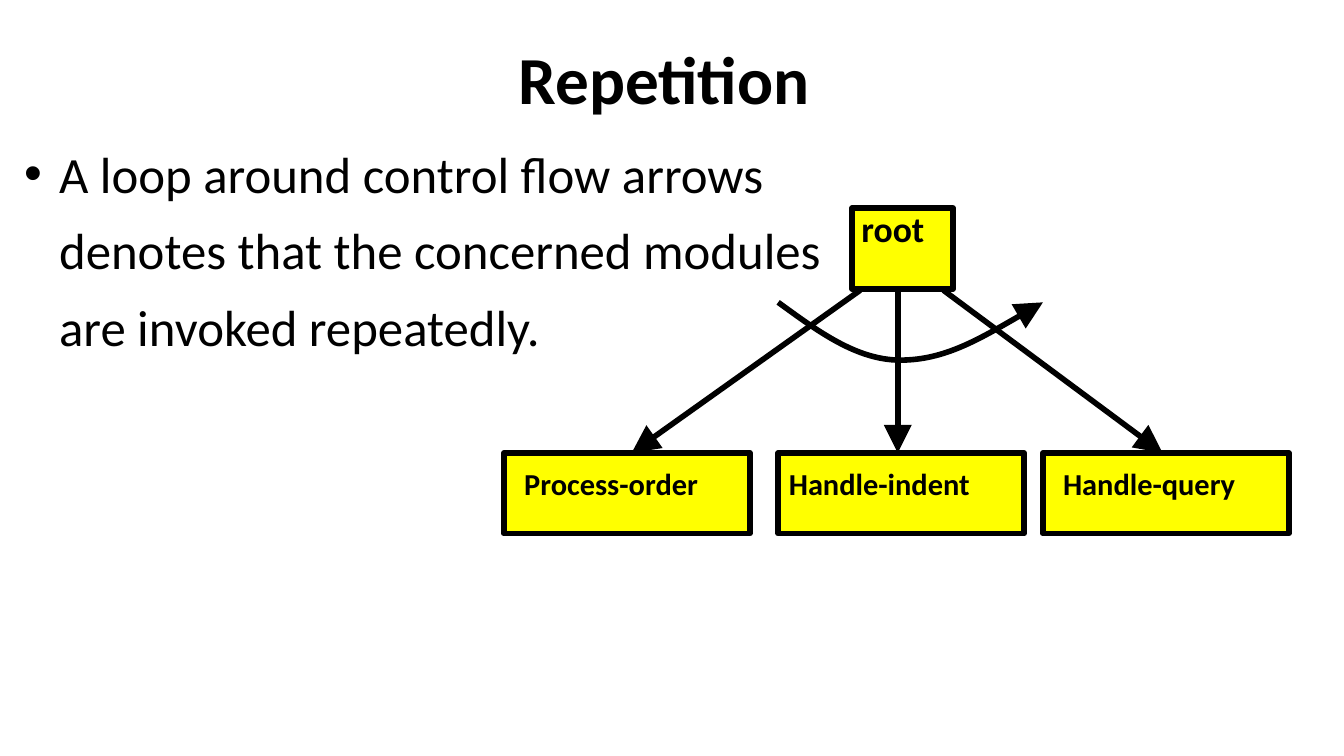
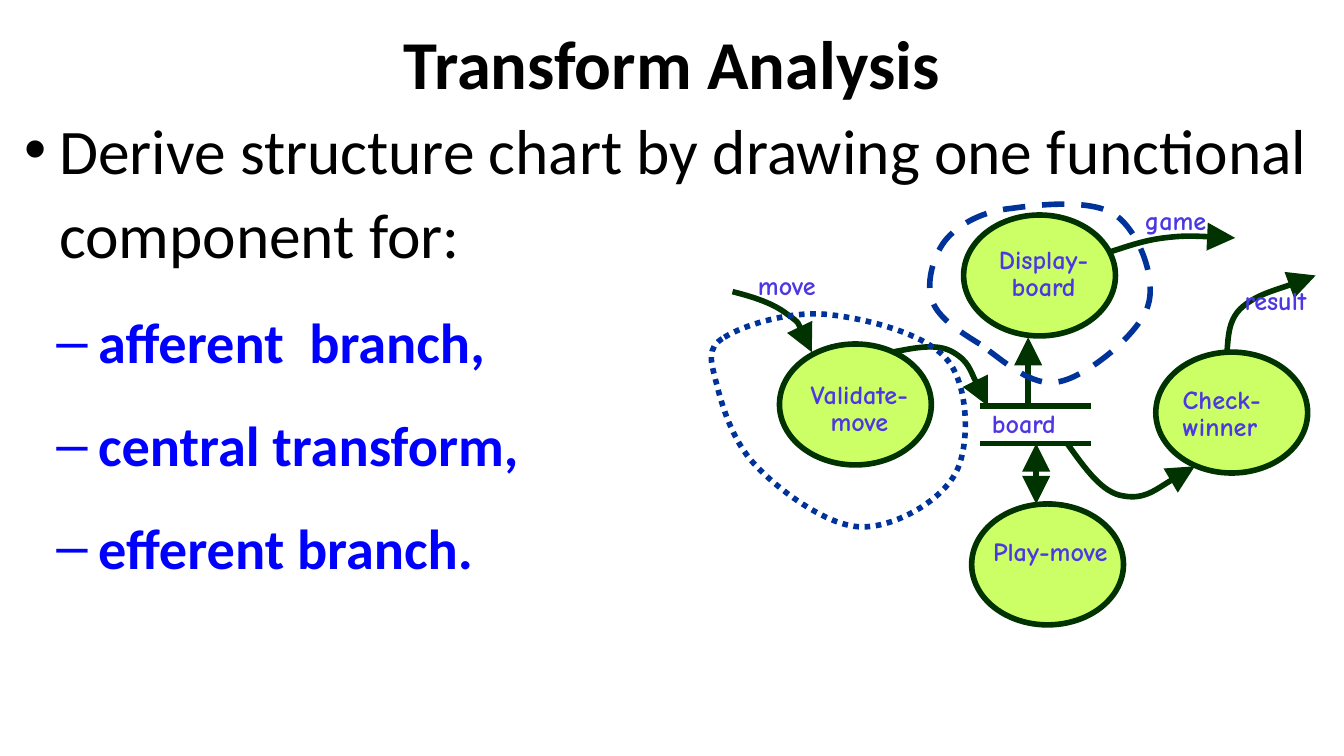
"""Build two slides on structure charts: repetition and transform analysis."""
from lxml import etree
from pptx import Presentation
from pptx.dml.color import RGBColor
from pptx.enum.dml import MSO_LINE
from pptx.enum.shapes import MSO_CONNECTOR, MSO_SHAPE
from pptx.enum.text import MSO_ANCHOR, PP_ALIGN
from pptx.oxml.ns import qn
from pptx.util import Inches, Pt

LEFT, CENTER = PP_ALIGN.LEFT, PP_ALIGN.CENTER
TOP, MIDDLE = MSO_ANCHOR.TOP, MSO_ANCHOR.MIDDLE
BOX, OVAL = MSO_SHAPE.ROUNDED_RECTANGLE, MSO_SHAPE.OVAL
STRAIGHT = MSO_CONNECTOR.STRAIGHT
DOTTED, DASHED = MSO_LINE.ROUND_DOT, MSO_LINE.DASH

COLORS = {"black": "000000", "yellow": "FFFF00", "blue": "0000FF", "lime": "CCFF66",
          "forest": "003300", "navy": "003399", "violet": "4C38E2"}
MAIN_FONT, LABEL_FONT = "Calibri", "Comic Neue"
LINE_WIDTH = 3
ARROWHEAD = {"type": "triangle", "w": "lg", "len": "lg"}
MODULE_TOP, MODULE_HEIGHT = 3.37, 0.6
BUBBLE_SIZE = (1.13, 0.9)

REPETITION = {
    "title": ("Repetition", 36, (1.74, 0.11)),
    "body_at": (0.17, 0.91, 6.42, 3.72),
    "body": [(0, "A loop around control flow arrows denotes that the concerned modules "
                 "are invoked repeatedly.")],
    "levels": [{"size": 27.2, "spacing": 1.25, "before": 4.3, "after": 6}],
}
TRANSFORM = {
    "title": ("Transform Analysis", 36.7, (1.8, 0)),
    "body_at": (0.17, 0.73, 9.67, 3.93),
    "body": [(0, "Derive structure chart by drawing one functional component for:"),
             (1, "afferent  branch,"), (1, "central transform,"), (1, "efferent branch.")],
    "levels": [{"size": 34, "spacing": 1.1, "before": 8.3, "after": 8.3},
               {"size": 30.2, "spacing": 1.1, "before": 7.6, "after": 7.6,
                "bold": True, "color": "blue"}],
}
BULLETS = [("•", 0.26, -0.26), ("–", 0.55, -0.31)]

ROOT = (6.34, 1.55, 0.75, MODULE_HEIGHT)
MODULES = [("Process-order", 3.75, 0.14), ("Handle-indent", 5.79, 0.07),
           ("Handle-query", 7.76, 0.14)]
CALLS = [(6.4, 4.7), (6.68, 6.68), (7.02, 8.65)]
LOOP = [(5.79, 2.25), (6.08, 2.46), (6.37, 2.68), (6.7, 2.68),
        (7.03, 2.68), (7.4, 2.46), (7.76, 2.25)]

BUBBLES = [(7.17, 1.6), (7.23, 3.75), (5.8, 2.56), (8.6, 2.62)]
LABELS = [
    ("Display-board", (7.29, 1.81, 0.95, 0.61), CENTER),
    ("Check-winner", (8.79, 2.85, 0.95, 0.61), LEFT),
    ("Validate-move", (5.86, 2.81, 1.07, 0.61), CENTER),
    ("Play-move", (7.34, 3.98, 0.95, 0.61), CENTER),
    ("board", (7.37, 3.03, 0.77, 0.34), LEFT),
    ("move", (5.63, 2, 0.83, 0.34), LEFT),
    ("result", (9.25, 2.11, 0.75, 0.34), LEFT),
    ("game", (8.51, 1.52, 1.07, 0.34), LEFT),
]
STORE_LINES = [
    ((7.29, 3.02), (8.12, 3.02), ()),
    ((7.29, 3.3), (8.12, 3.3), ()),
    ((7.65, 3.02), (7.65, 2.51), ("tailEnd",)),
    ((7.71, 3.3), (7.71, 3.75), ("headEnd", "tailEnd")),
]
FLOWS = [
    [(7.94, 3.3), (8.07, 3.48), (8.2, 3.67), (8.36, 3.69),
     (8.52, 3.72), (8.81, 3.51), (8.89, 3.47)],
    [(6.64, 2.62), (6.8, 2.59), (6.97, 2.55), (7.09, 2.62),
     (7.21, 2.69), (7.31, 2.95), (7.35, 3.02)],
    [(5.45, 2.17), (5.61, 2.21), (5.76, 2.26), (5.86, 2.34),
     (5.96, 2.41), (6, 2.52), (6.04, 2.62)],
    [(9.13, 2.62), (9.14, 2.5), (9.14, 2.37), (9.25, 2.28),
     (9.36, 2.19), (9.7, 2.09), (9.79, 2.05)],
    [(8.24, 1.88), (8.37, 1.84), (8.5, 1.79), (8.66, 1.77),
     (8.82, 1.75), (9, 1.76), (9.19, 1.77)],
]
BRANCH_OUTLINES = [
    (DOTTED, [(5.39, 2.51), (5.53, 2.42), (5.88, 2.31), (6.16, 2.34),
              (6.44, 2.37), (6.89, 2.48), (7.05, 2.68), (7.21, 2.87), (7.22, 3.32),
              (7.11, 3.52), (7, 3.73), (6.65, 3.93), (6.4, 3.92), (6.15, 3.91),
              (5.8, 3.65), (5.63, 3.47), (5.45, 3.29), (5.37, 3.01), (5.33, 2.85),
              (5.29, 2.69), (5.25, 2.59), (5.39, 2.51)]),
    (DASHED, [(7.29, 2.56), (7.13, 2.46), (6.97, 2.36), (6.93, 2.22),
              (6.89, 2.09), (6.95, 1.88), (7.05, 1.77), (7.15, 1.66), (7.32, 1.57),
              (7.53, 1.55), (7.74, 1.52), (8.13, 1.48), (8.3, 1.6), (8.47, 1.72),
              (8.61, 2.07), (8.54, 2.28), (8.47, 2.49), (8.09, 2.8), (7.88, 2.84),
              (7.68, 2.89), (7.45, 2.67), (7.29, 2.56)]),
]


def rgb(name):
    return RGBColor.from_string(COLORS[name])


def inches(values):
    return [Inches(v) for v in values]


def set_all(obj, values):
    for name, value in values.items():
        setattr(obj, name, value)


def add_frame(s, at, anchor=TOP):
    tf = s.shapes.add_textbox(*inches(at)).text_frame
    set_all(tf, {"word_wrap": True, "vertical_anchor": anchor,
                 "margin_left": Inches(0.01), "margin_right": Inches(0.01),
                 "margin_top": Inches(0.04), "margin_bottom": Inches(0.04)})
    return tf


def write(p, text, size, color="black", bold=False, font=MAIN_FONT):
    r = p.add_run()
    r.text = text
    set_all(r.font, {"size": Pt(size), "bold": bold, "name": font})
    r.font.color.rgb = rgb(color)


def add_label(s, text, at, size, align=LEFT, **style):
    p = add_frame(s, at).paragraphs[0]
    set_all(p, {"alignment": align, "line_spacing": 0.85})
    write(p, text, size, bold=True, **style)


def add_bullet(p, level):
    mark, margin, indent = BULLETS[level]
    pPr = p._p.get_or_add_pPr()
    pPr.set("marL", str(Inches(margin)))
    pPr.set("indent", str(Inches(indent)))
    etree.SubElement(pPr, qn("a:buFont")).set("typeface", "Arial")
    etree.SubElement(pPr, qn("a:buChar")).set("char", mark)


def add_text_slide(prs, content):
    s = prs.slides.add_slide(prs.slide_layouts[6])
    title, size, (x, y) = content["title"]
    p = add_frame(s, (x, y, 6.4, 0.93), MIDDLE).paragraphs[0]
    p.alignment = CENTER
    write(p, title, size, bold=True)
    tf = add_frame(s, content["body_at"])
    for i, (level, text) in enumerate(content["body"]):
        p = tf.add_paragraph() if i else tf.paragraphs[0]
        style = dict(content["levels"][level])
        before, after = style.pop("before"), style.pop("after")
        add_bullet(p, level)
        set_all(p, {"level": level, "line_spacing": style.pop("spacing"),
                    "space_after": Pt(after)})
        if i:
            p.space_before = Pt(before)
        write(p, text, **style)
    return s


def set_line(shape, color, ends=(), dash=None):
    shape.line.color.rgb = rgb(color)
    shape.line.width = Pt(LINE_WIDTH)
    if dash:
        shape.line.dash_style = dash
    ln = shape._element.xpath(".//a:ln")[0]
    for end in ends:
        etree.SubElement(ln, qn("a:" + end), ARROWHEAD)


def add_node(s, kind, at, fill, line):
    shape = s.shapes.add_shape(kind, *inches(at))
    shape.shadow.inherit = False
    shape.fill.solid()
    shape.fill.fore_color.rgb = rgb(fill)
    if kind == BOX:
        shape.adjustments[0] = 0
    set_line(shape, line)


def add_line(s, start, end, color, ends=()):
    shape = s.shapes.add_connector(STRAIGHT, *inches(start + end))
    set_line(shape, color, ends)
    etree.SubElement(shape._element.spPr, qn("a:effectLst"))


def add_curve(s, points, color, ends=(), dash=None):
    points = [inches(point) for point in points]
    knots = points[::3]
    builder = s.shapes.build_freeform(*knots[0])
    builder.add_line_segments(knots[1:], close=False)
    shape = builder.convert_to_shape()
    shape.shadow.inherit = False
    shape.fill.background()
    set_line(shape, color, ends, dash)
    for i, segment in enumerate(shape._element.xpath(".//a:lnTo")):
        cubic = etree.Element(qn("a:cubicBezTo"))
        for x, y in points[3 * i + 1:3 * i + 4]:
            pt = etree.SubElement(cubic, qn("a:pt"))
            pt.set("x", str(x - shape.left))
            pt.set("y", str(y - shape.top))
        segment.getparent().replace(segment, cubic)


def draw_repetition(s):
    add_node(s, BOX, ROOT, "yellow", "black")
    add_label(s, "root", (6.4, 1.55, 1.02, 0.52), 19.1)
    for name, x, inset in MODULES:
        add_node(s, BOX, (x, MODULE_TOP, 1.83, MODULE_HEIGHT), "yellow", "black")
        add_label(s, name, (x + inset, MODULE_TOP + 0.09, 1.7, 0.45), 16.3)
    for x1, x2 in CALLS:
        add_line(s, (x1, 2.16), (x2, MODULE_TOP), "black", ("tailEnd",))
    add_curve(s, LOOP, "black", ("tailEnd",))


def draw_transform(s):
    for at in BUBBLES:
        add_node(s, OVAL, at + BUBBLE_SIZE, "lime", "forest")
    for start, end, ends in STORE_LINES:
        add_line(s, start, end, "forest", ends)
    for points in FLOWS:
        add_curve(s, points, "forest", ("tailEnd",))
    for text, at, align in LABELS:
        add_label(s, text, at, 14, align, color="violet", font=LABEL_FONT)
    for dash, points in BRANCH_OUTLINES:
        add_curve(s, points, "navy", dash=dash)


def main():
    prs = Presentation()
    prs.slide_width = Inches(10)
    prs.slide_height = prs.slide_width * 9 // 16
    draw_repetition(add_text_slide(prs, REPETITION))
    draw_transform(add_text_slide(prs, TRANSFORM))
    prs.save("out.pptx")


if __name__ == "__main__":
    main()
